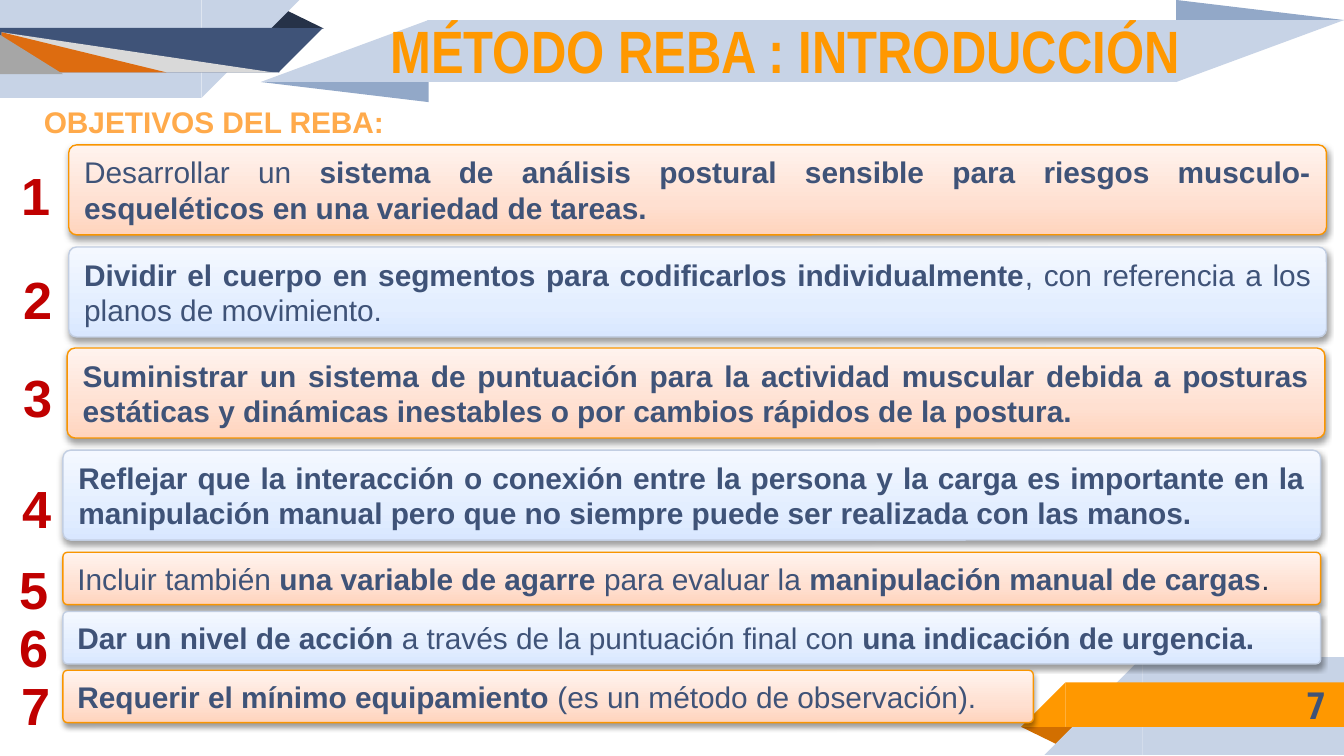
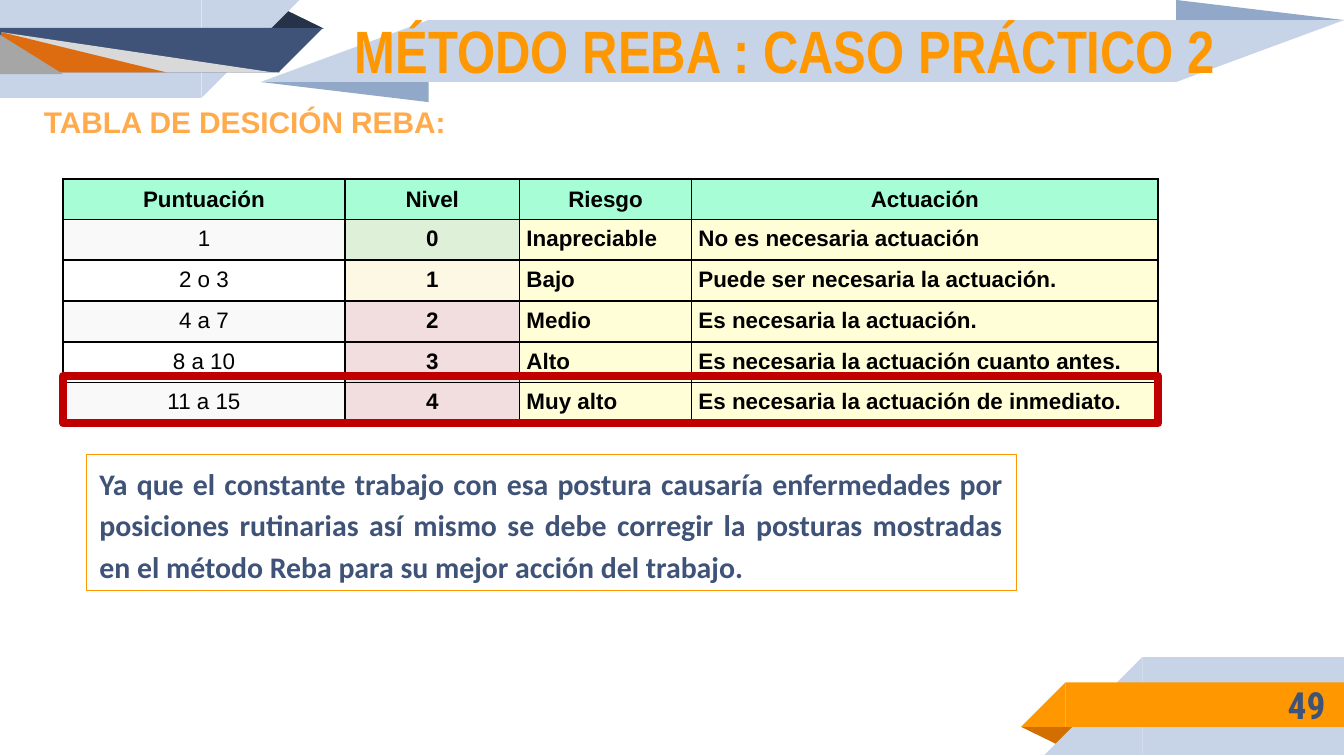
from copy import deepcopy
from dataclasses import dataclass

from pptx import Presentation
from pptx.dml.color import RGBColor
from pptx.enum.shapes import MSO_SHAPE as Preset
from pptx.enum.text import MSO_ANCHOR as Anchor, MSO_AUTO_SIZE as AutoSize, PP_ALIGN as Align
from pptx.oxml import parse_xml
from pptx.oxml.ns import nsdecls, qn
from pptx.util import Cm, Pt


@dataclass(frozen=True)
class Theme:
    pale: str = "C7D3E6"
    steel: str = "92A8C8"
    navy: str = "3F5378"
    dark: str = "263248"
    orange: str = "FF9800"
    rust: str = "D26F00"
    ember: str = "DD6C10"
    light_gray: str = "D9D9D9"
    gray: str = "A6A6A6"
    heading: str = "FFAA4B"
    red: str = "C00000"
    black: str = "000000"
    mint: str = "A6FDD6"
    cream: str = "FFFED6"
    warm: tuple = ("FFD4BD", "FFE0D1", "FFF3EE")
    warm_line: str = "F99500"
    cool: tuple = ("D9E7FF", "E3EEFF", "F4F8FF")
    cool_line: str = "C2CEE2"
    text_font: str = "Arial"
    title_font: str = "Arial Narrow"
    note_font: str = "Calibri"
    page_font: str = "Roboto Condensed"
    title_size: int = 32
    number_size: int = 28
    page_size: int = 20
    body_size: int = 16
    table_size: int = 12


theme = Theme()


def add_shape(slide, preset, box, fill=None, line=None, width=0.75):
    shape = slide.shapes.add_shape(preset, *map(Cm, box))
    shape.shadow.inherit = False
    if fill:
        shape.fill.solid()
        shape.fill.fore_color.rgb = RGBColor.from_string(fill)
    else:
        shape.fill.background()
    if line:
        shape.line.color.rgb = RGBColor.from_string(line)
        shape.line.width = Pt(width)
    else:
        shape.line.fill.background()
    return shape


def write(frame, text, size, color, face=theme.text_font, align=Align.LEFT, bold=True):
    frame.word_wrap = True
    paragraph = frame.paragraphs[0]
    paragraph.alignment = align
    font = paragraph.font
    font.name, font.size, font.bold = face, Pt(size), bold
    font.color.rgb = RGBColor.from_string(color)
    for index, part in enumerate(text.split("*")):
        if part:
            run = paragraph.add_run()
            run.text = part
            if "*" in text:
                run.font.bold = index % 2 == 1
    return paragraph


presentation = Presentation()
presentation.slide_width, presentation.slide_height = Cm(25.4), Cm(14.29)
layout = presentation.slide_layouts[5]

pages = [
    ("MÉTODO REBA : INTRODUCCIÓN", "OBJETIVOS DEL REBA:", "7"),
    ("MÉTODO REBA : CASO PRÁCTICO 2", "TABLA DE DESICIÓN REBA:", "49"),
]
slides = []
for title_text, heading_text, page_number in pages:
    slide = presentation.slides.add_slide(layout)
    slides.append(slide)

    title = slide.shapes.title
    title.left, title.top, title.width, title.height = Cm(6.5), Cm(0.23), Cm(16.69), Cm(1.42)
    frame = title.text_frame
    frame.auto_size = AutoSize.NONE
    frame.vertical_anchor = Anchor.MIDDLE
    frame.margin_left = frame.margin_right = frame.margin_top = frame.margin_bottom = 0
    write(frame, title_text, theme.title_size, theme.orange, theme.title_font, Align.CENTER)

    heading = slide.shapes.add_textbox(Cm(0.58), Cm(1.83), Cm(23.7), Cm(0.94))
    write(heading.text_frame, heading_text, theme.body_size, theme.heading)

    page = slide.shapes.add_textbox(Cm(21.16), Cm(12.88), Cm(4.14), Cm(0.89))
    page.text_frame.vertical_anchor = Anchor.MIDDLE
    write(page.text_frame, page_number, theme.page_size, theme.navy, theme.page_font, Align.RIGHT)

intro, case = slides

rect, corner, peak = Preset.RECTANGLE, Preset.RIGHT_TRIANGLE, Preset.ISOSCELES_TRIANGLE
ribbons = [
    (peak, (5.03, 0.18, 1.09, 0.36), theme.dark, 0, False, 0.324),
    (rect, (0, 0, 3.81, 1.85), theme.pale, 0, False, None),
    (corner, (3.81, 0, 1.85, 1.85), theme.pale, 180, True, None),
    (rect, (0, 0.53, 5.28, 0.84), theme.navy, 0, False, None),
    (corner, (5.26, 0.53, 0.84, 0.84), theme.navy, 180, True, None),
    (peak, (19.3, 13.74, 1.09, 0.36), theme.rust, 180, False, 0.324),
    (rect, (21.59, 12.42, 3.81, 1.85), theme.pale, 0, False, None),
    (corner, (19.74, 12.42, 1.85, 1.85), theme.pale, 0, True, None),
    (rect, (20.14, 12.9, 5.26, 0.84), theme.orange, 0, False, None),
    (corner, (19.3, 12.9, 0.84, 0.84), theme.orange, 0, True, None),
    (peak, (22.23, 0, 3.17, 0.38), theme.steel, 0, False, 0),
    (rect, (8.08, 0.38, 14.17, 1.17), theme.pale, 0, False, None),
    (corner, (22.23, 0.38, 3.17, 1.17), theme.pale, 180, True, None),
    (corner, (4.93, 0.38, 3.17, 1.17), theme.pale, 0, True, None),
    (peak, (4.93, 1.55, 3.17, 0.38), theme.steel, 180, False, 0),
    (peak, (0.03, 0.61, 5.13, 0.76), theme.light_gray, 0, False, 0),
    (corner, (0.03, 0.61, 3.12, 0.76), theme.ember, 0, False, None),
    (peak, (-0.03, 0.64, 1.22, 0.76), theme.gray, 0, False, 0),
]
for preset, box, color, rotation, flipped, apex in ribbons:
    shape = add_shape(intro, preset, box, color)
    shape.rotation = rotation
    if flipped:
        shape.element.spPr.get_or_add_xfrm().set("flipH", "1")
    if apex is not None:
        shape.adjustments[0] = apex
    layout.shapes.element.append(shape.element)

objectives = [
    ((1.3, 2.74, 23.77, 1.7), (-0.1, 2.67),
     "Desarrollar un *sistema de análisis postural sensible para riesgos "
     "musculo-esqueléticos en una variedad de tareas.*"),
    ((1.3, 4.67, 23.77, 1.7), (-0.05, 4.65),
     "*Dividir el cuerpo en segmentos para codificarlos individualmente*, "
     "con referencia a los planos de movimiento."),
    ((1.27, 6.58, 23.77, 1.7), (-0.05, 6.5),
     "*Suministrar un sistema de puntuación para la actividad muscular debida a posturas "
     "estáticas y dinámicas inestables o por cambios rápidos de la postura.*"),
    ((1.19, 8.51, 23.77, 1.7), (-0.08, 8.59),
     "*Reflejar que la interacción o conexión entre la persona y la carga es importante en la "
     "manipulación manual pero que no siempre puede ser realizada con las manos.*"),
    ((1.19, 10.44, 23.77, 0.99), (-0.13, 10.13),
     "Incluir también *una variable de agarre *para evaluar la *manipulación manual de cargas*."),
    ((1.19, 11.56, 23.77, 0.99), (-0.13, 11.23),
     "*Dar un nivel de acción *a través de la puntuación final con *una indicación de urgencia.*"),
    ((1.19, 12.67, 18.34, 0.99), (-0.1, 12.32),
     "*Requerir el mínimo equipamiento *(es un método de observación)."),
]
for number, (box, (left, top), text) in enumerate(objectives, 1):
    stops, line = (theme.warm, theme.warm_line) if number % 2 else (theme.cool, theme.cool_line)
    card = add_shape(intro, Preset.ROUNDED_RECTANGLE, box, line=line)
    card.adjustments[0] = 0.086
    card.fill.gradient()
    card.fill.gradient_angle = 90
    properties = card.element.spPr
    stop_list = properties.find(".//" + qn("a:gsLst"))
    stop_list.append(deepcopy(stop_list[-1]))
    for stop, color, position in zip(card.fill.gradient_stops, stops, (0, 0.35, 1)):
        stop.color.rgb = RGBColor.from_string(color)
        stop.position = position
    properties.find(qn("a:effectLst")).append(parse_xml(
        f'<a:outerShdw {nsdecls("a")} blurRad="40000" dist="20000" dir="5400000" rotWithShape="0">'
        f'<a:srgbClr val="{theme.black}"><a:alpha val="38000"/></a:srgbClr></a:outerShdw>'))
    paragraph = write(card.text_frame, text, theme.body_size, theme.navy,
                      align=Align.JUSTIFY, bold=False)
    if number == 5:
        paragraph.runs[-1].font.color.rgb = RGBColor.from_string(theme.dark)

    label = intro.shapes.add_textbox(Cm(left), Cm(top), Cm(1.3), Cm(1.52))
    frame = label.text_frame
    frame.margin_left, frame.margin_top, frame.margin_right = Cm(0.5), Cm(0.23), 0
    paragraph = write(frame, str(number), theme.number_size, theme.red, align=Align.JUSTIFY)
    paragraph.line_spacing = 1.15

note = add_shape(case, rect, (1.63, 8.59, 17.58, 2.57), line=theme.orange)
paragraph = write(
    note.text_frame,
    "Ya que el constante trabajo con esa postura causaría enfermedades por posiciones rutinarias "
    "así mismo se debe corregir la posturas mostradas en el método Reba para su mejor acción "
    "del trabajo.",
    theme.body_size, theme.navy, theme.note_font, Align.JUSTIFY)
paragraph.line_spacing = 1.15

decisions = [
    ("Puntuación", "Nivel", "Riesgo", "Actuación"),
    ("1", "0", "Inapreciable", "No es necesaria actuación"),
    ("2 o 3", "1", "Bajo", "Puede ser necesaria la actuación."),
    ("4 a 7", "2", "Medio", "Es necesaria la actuación."),
    ("8 a 10", "3", "Alto", "Es necesaria la actuación cuanto antes."),
    ("11 a 15", "4", "Muy alto", "Es necesaria la actuación de inmediato."),
]
level_fills = (theme.mint, "DFF0D8", "FCF8E3", "F2DEDE", "F2DEDE", "F2DEDE")
table = case.shapes.add_table(6, 4, Cm(1.19), Cm(3.38), Cm(20.7), Cm(4.62)).table
table.first_row = table.horz_banding = False
for column, width in zip(table.columns, (5.33, 3.3, 3.25, 8.82)):
    column.width = Cm(width)
for row_index, values in enumerate(decisions):
    header = row_index == 0
    score_fill = "F9F9F9" if row_index % 2 else None
    fills = ([theme.mint] * 4 if header
             else (score_fill, level_fills[row_index], theme.cream, theme.cream))
    for column_index, (value, fill) in enumerate(zip(values, fills)):
        cell = table.cell(row_index, column_index)
        cell.margin_left = cell.margin_right = cell.margin_top = cell.margin_bottom = Cm(0.13)
        cell.vertical_anchor = Anchor.BOTTOM if header else Anchor.TOP
        if fill:
            cell.fill.solid()
            cell.fill.fore_color.rgb = RGBColor.from_string(fill)
        else:
            cell.fill.background()
        write(cell.text_frame, value, theme.table_size, theme.black,
              align=Align.CENTER if header or column_index < 2 else Align.LEFT,
              bold=header or column_index > 0)
        cell_properties = cell._tc.get_or_add_tcPr()
        for position, side in enumerate("LRTB"):
            cell_properties.insert(position, parse_xml(
                f'<a:ln{side} {nsdecls("a")} w="12700"><a:solidFill>'
                f'<a:srgbClr val="{theme.black}"/></a:solidFill></a:ln{side}>'))

add_shape(case, rect, (1.19, 7.11, 20.7, 0.89), line=theme.red, width=4.5)

presentation.save("out.pptx")
